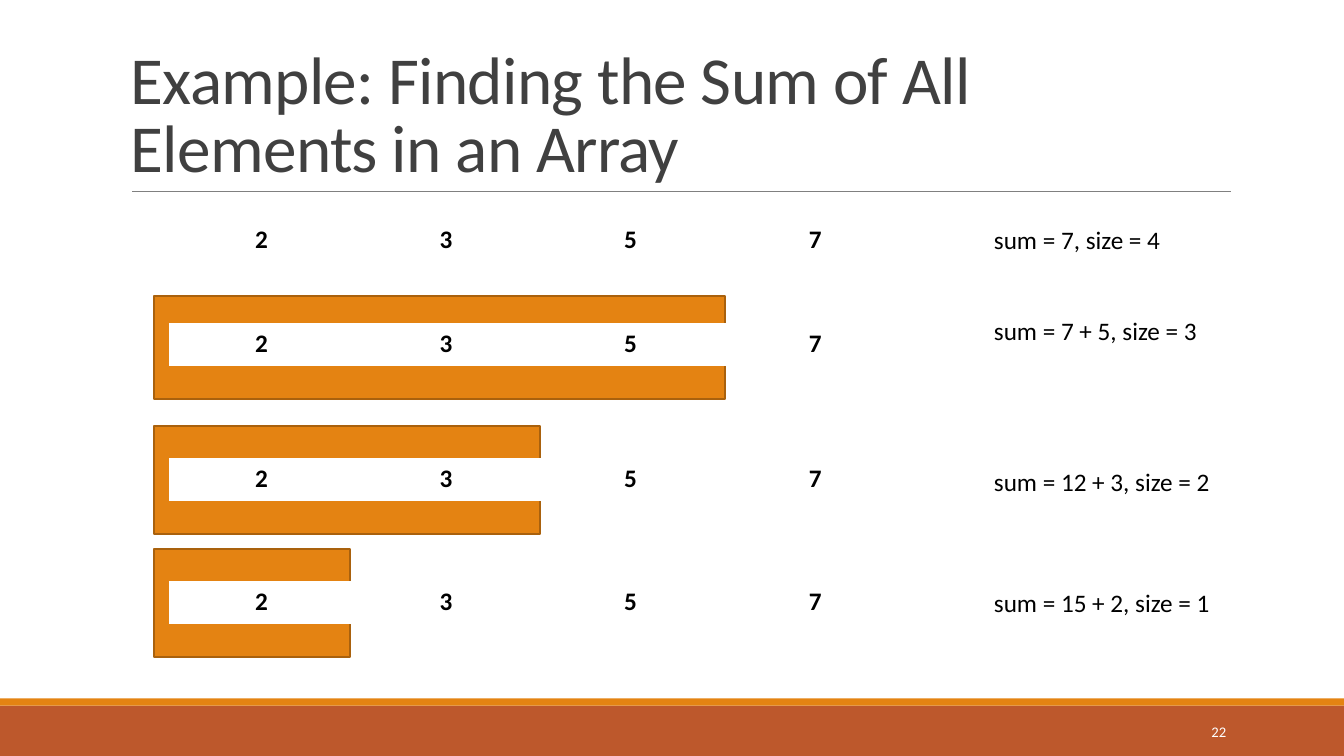
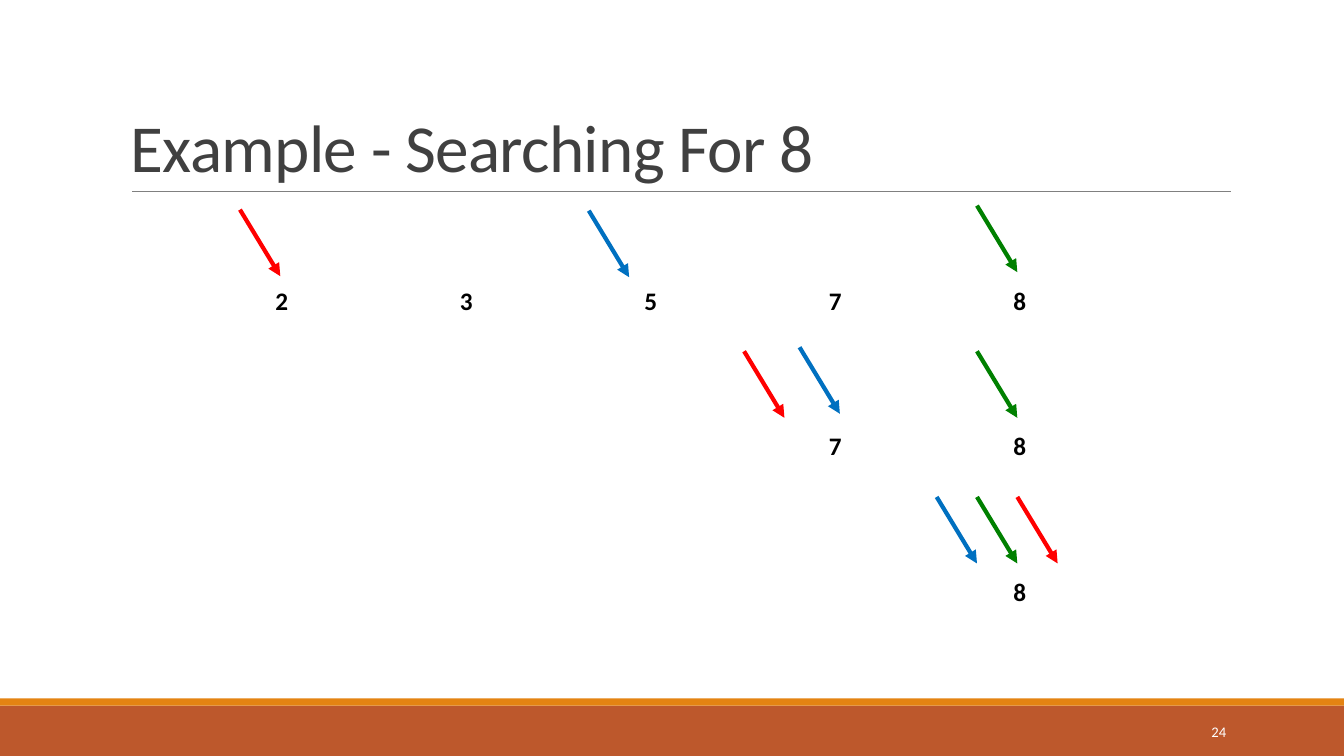
from lxml.etree import SubElement
from pptx import Presentation
from pptx.dml.color import RGBColor
from pptx.enum.shapes import MSO_CONNECTOR, MSO_SHAPE
from pptx.enum.text import MSO_ANCHOR as Anchor, PP_ALIGN as Align
from pptx.oxml import parse_xml
from pptx.oxml.ns import nsdecls, qn
from pptx.util import Inches, Pt

# Shared look
SLIDE_W, SLIDE_H = 13.33, 7.5
RUST, ORANGE, DARK_ORANGE = "BD582C", "E48312", "A9610D"
WHITE, BLACK, TITLE_GREY, RULE_GREY = "FFFFFF", "000000", "404040", "808080"
RED, GREEN, BLUE = "FF0000", "008000", "0070C0"
TITLE_FONT = {"name": "Calibri", "size": Pt(48)}
BODY_FONT = {"name": "Calibri", "size": Pt(18)}
CELL_FONT = {**BODY_FONT, "bold": True}
NUMBER_FONT = {"name": "Calibri", "size": Pt(10.5)}
BORDERS = {"lnL": 1, "lnR": 1, "lnT": 1, "lnB": 3}
CELL_W = 1.83
BLANK_LINE = 21.6  # points


def rgb(value):
    return RGBColor.from_string(value)


def apply(target, values):
    for name, value in values.items():
        setattr(target, name, value)


def inches(*lengths):
    return [Inches(length) for length in lengths]


def add_box(slide, box, fill, outline=None):
    shape = slide.shapes.add_shape(MSO_SHAPE.RECTANGLE, *inches(*box))
    shape.shadow.inherit = False
    shape.fill.solid()
    shape.fill.fore_color.rgb = rgb(fill)
    if outline:
        shape.line.color.rgb = rgb(outline)
        shape.line.width = Pt(1.25)
    else:
        shape.line.fill.background()


def add_line(slide, start, end, color, width, arrow=False):
    line = slide.shapes.add_connector(MSO_CONNECTOR.STRAIGHT,
                                      *inches(*start, *end))
    line.line.color.rgb = rgb(color)
    line.line.width = Pt(width)
    if arrow:
        SubElement(line.line._get_or_add_ln(), qn("a:tailEnd"), type="triangle")
    SubElement(line._element.spPr, qn("a:effectLst"))


def add_text(slide, box, lines, font, color, anchor=Anchor.TOP, **layout):
    """Write (text, points before) pairs as paragraphs of one text box."""
    frame = slide.shapes.add_textbox(*inches(*box)).text_frame
    apply(frame, {"word_wrap": True, "vertical_anchor": anchor})
    for index, (text, before) in enumerate(lines):
        paragraph = frame.add_paragraph() if index else frame.paragraphs[0]
        apply(paragraph, {"space_before": Pt(before), **layout})
        run = paragraph.add_run()
        run.text = text
        apply(run.font, font)
        run.font.color.rgb = rgb(color)
    return frame


def add_array(slide, left, top, height, values):
    """Draw an array as a one-row table; empty strings leave cells blank."""
    table = slide.shapes.add_table(
        1, len(values), *inches(left, top, CELL_W * len(values), height)).table
    apply(table, {"first_row": False, "horz_banding": False})
    for cell, value in zip(table.rows[0].cells, values):
        cell.fill.solid()
        cell.fill.fore_color.rgb = rgb(WHITE)
        cell.text = value
        paragraph = cell.text_frame.paragraphs[0]
        paragraph.alignment = Align.CENTER
        apply(paragraph.font, CELL_FONT)
        paragraph.font.color.rgb = rgb(BLACK)
        for run in paragraph.runs:
            apply(run.font, CELL_FONT)
            run.font.color.rgb = rgb(BLACK)
        properties = cell._tc.get_or_add_tcPr()
        for place, (side, width) in enumerate(BORDERS.items()):
            properties.insert(place, parse_xml(
                f'<a:{side} {nsdecls("a")} w="{Pt(width)}"><a:solidFill>'
                f'<a:srgbClr val="{WHITE}"/></a:solidFill></a:{side}>'))


def add_base_slide(prs, title, number):
    slide = prs.slides.add_slide(prs.slide_layouts[6])
    # Footer bands and title rule
    add_box(slide, (0, 7, SLIDE_W, 0.5), RUST)
    add_box(slide, (0, 6.93, SLIDE_W, 0.07), ORANGE)
    add_line(slide, (1.31, 1.9), (12.21, 1.9), RULE_GREY, 0.5)
    # Title and slide number
    heading = add_text(slide, (1.2, 0.31, 11, 1.59), [(title, 0)], TITLE_FONT,
                       TITLE_GREY, Anchor.BOTTOM, line_spacing=0.85)
    heading.paragraphs[0].runs[0].font._element.set("spc", "-50")
    add_text(slide, (10.83, 7.06, 1.43, 0.4), [(number, 0)], NUMBER_FONT,
             WHITE, Anchor.MIDDLE, alignment=Align.RIGHT)
    return slide


def add_sum_steps(slide, left, top):
    # Array at each step, with the part still to be summed highlighted:
    # (array offset, highlight offset, highlight width, highlight height)
    steps = [(0, None, 0, 0), (1.03, 0.76, 5.66, 1.02),
             (2.37, 2.05, 3.83, 1.07), (3.59, 3.27, 1.94, 1.07)]
    for array_y, highlight_y, width, height in steps:
        if highlight_y is not None:
            add_box(slide, (left - 0.15, top + highlight_y, width, height),
                    ORANGE, DARK_ORANGE)
        add_array(slide, left, top + array_y, 0.4, "2357")
    # Running sums, spaced by whole lines
    sums = [("sum = 7, size = 4", 0), ("sum = 7 + 5, size = 3", 2),
            ("sum = 12 + 3, size = 2", 4), ("sum = 15 + 2, size = 1", 3)]
    add_text(slide, (left + 8.08, top, 2.44, 4.34),
             [(text, gap * BLANK_LINE) for text, gap in sums],
             BODY_FONT, BLACK)


def add_search_steps(slide, left, top):
    values = "23578"
    # First remaining index, then arrow tips relative to the row's corner
    steps = [
        (0, [(RED, 0.9, -0.05), (GREEN, 8.21, -0.09), (BLUE, 4.36, -0.04)]),
        (3, [(RED, 5.9, -0.09), (GREEN, 8.21, -0.09), (BLUE, 6.45, -0.13)]),
        (4, [(RED, 8.61, -0.09), (GREEN, 8.21, -0.09), (BLUE, 7.81, -0.09)]),
    ]
    for row, (first, arrows) in enumerate(steps):
        row_top = top + row * 1.445
        add_array(slide, left, row_top, 0.41,
                  [""] * first + list(values[first:]))
        for color, dx, dy in arrows:
            x, y = left + dx, row_top + dy
            add_line(slide, (x - 0.4, y - 0.66), (x, y), color, 3, arrow=True)


def main():
    prs = Presentation()
    apply(prs, {"slide_width": Inches(SLIDE_W), "slide_height": Inches(SLIDE_H)})
    sum_slide = add_base_slide(
        prs, "Example: Finding the Sum of All Elements in an Array", "22")
    add_sum_steps(sum_slide, 1.68, 2.18)
    search_slide = add_base_slide(prs, "Example - Searching For 8", "24")
    add_search_steps(search_slide, 1.88, 2.79)
    prs.save("out.pptx")


if __name__ == "__main__":
    main()
